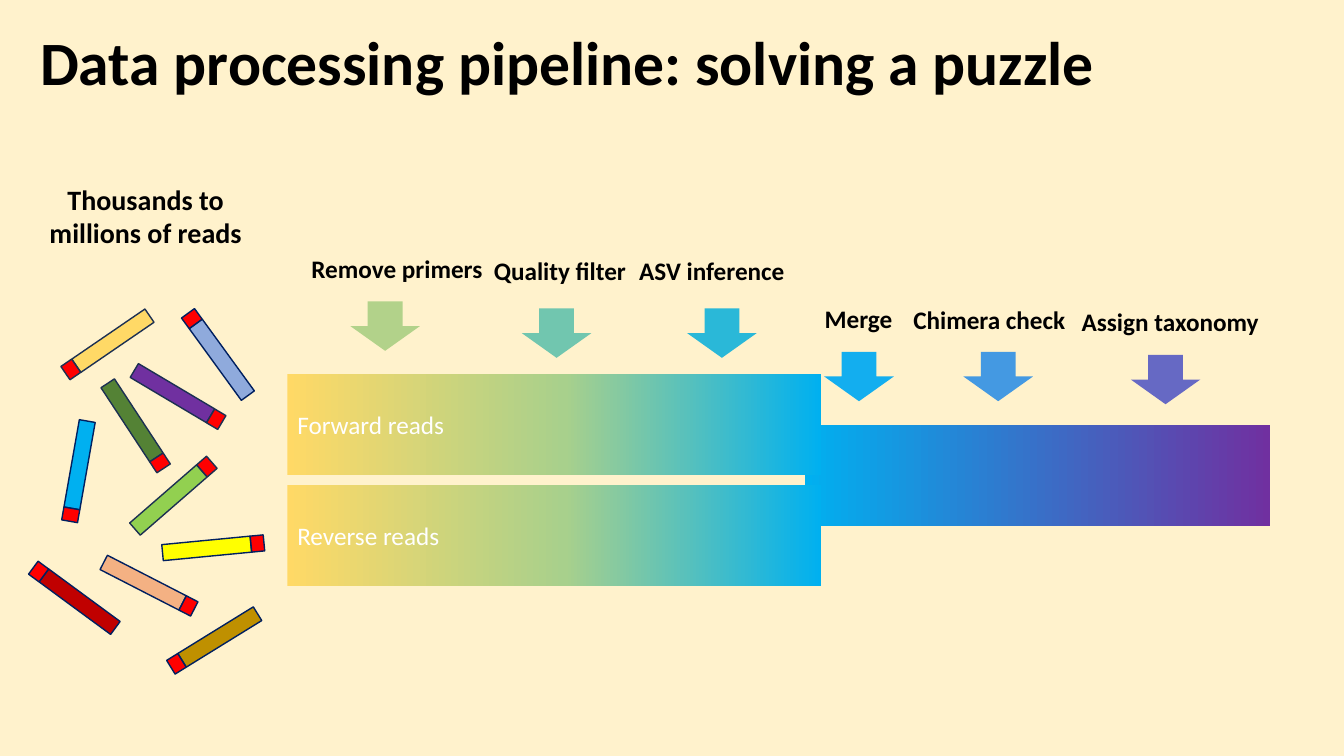
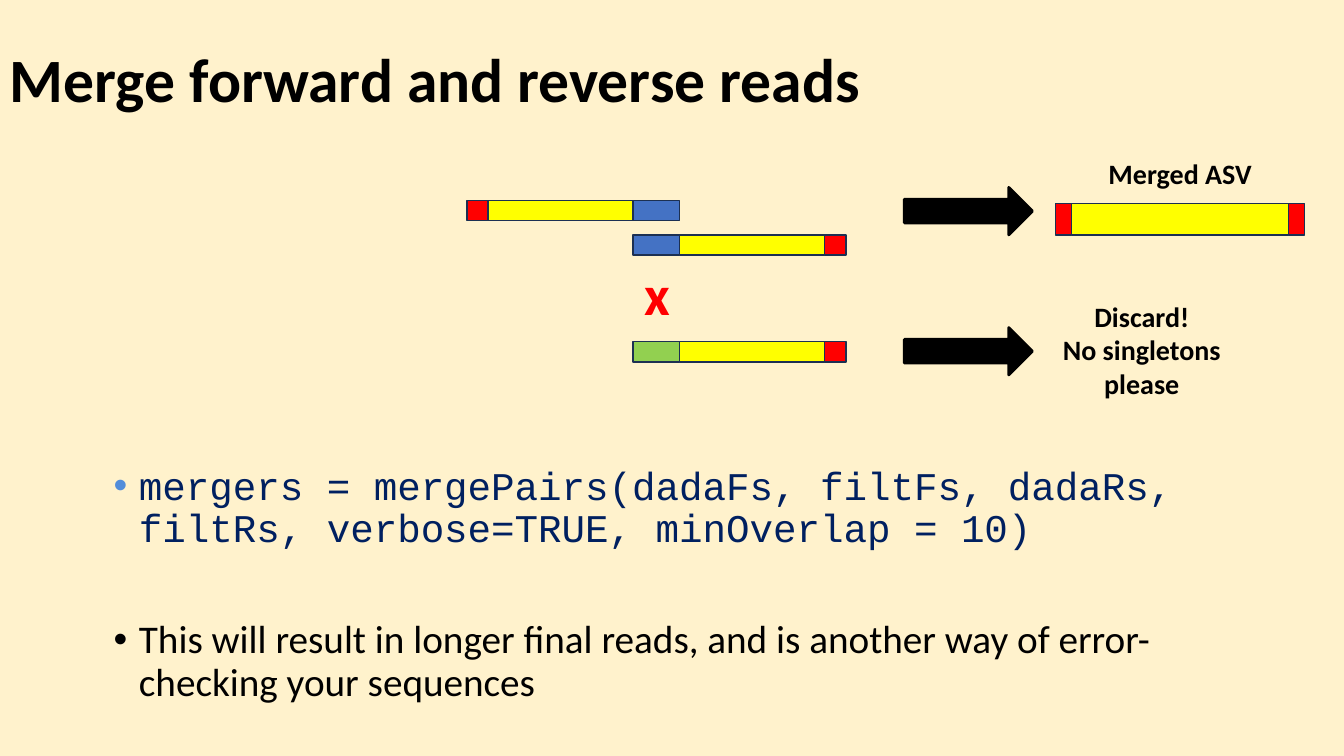
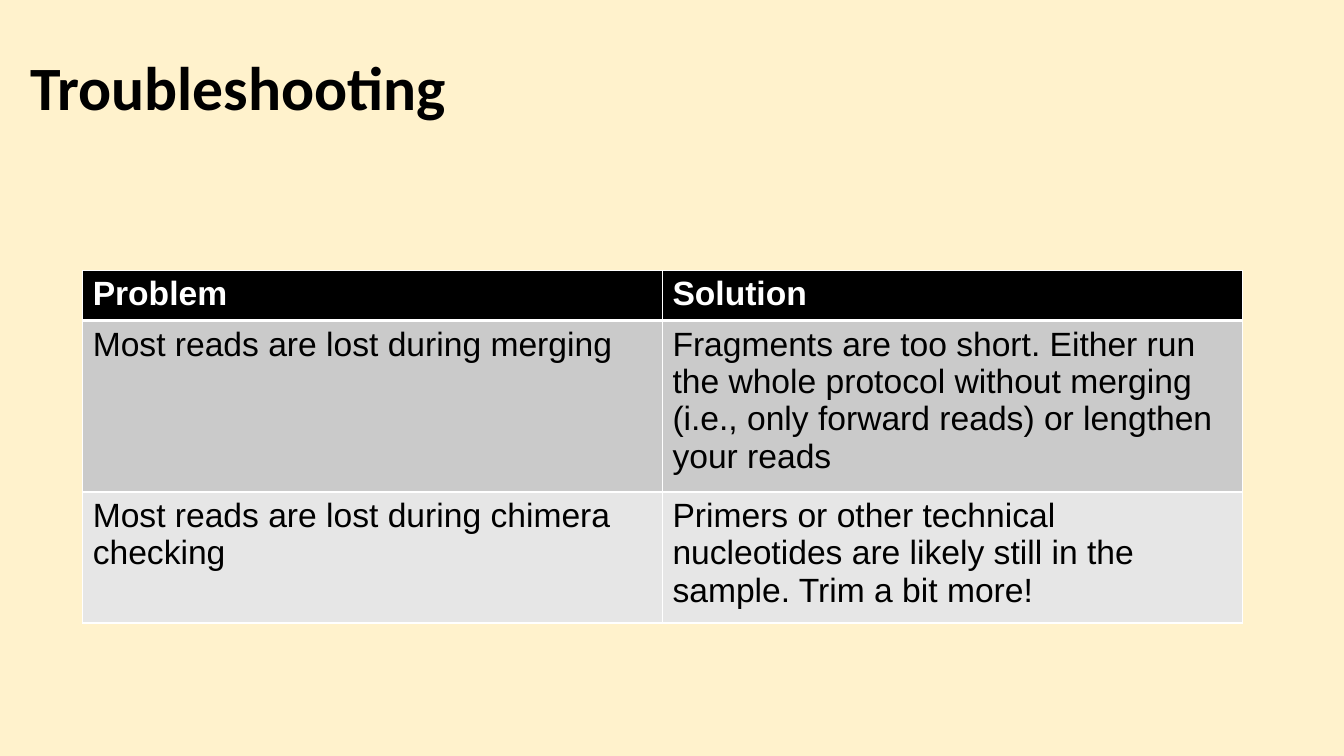
"""Build three slides about a read-processing pipeline."""
from math import cos, radians, sin

from lxml.etree import SubElement
from pptx import Presentation
from pptx.dml.color import RGBColor
from pptx.enum.shapes import MSO_SHAPE
from pptx.enum.text import MSO_ANCHOR, PP_ALIGN
from pptx.oxml.ns import qn
from pptx.util import Inches, Pt

CREAM = RGBColor(0xFF, 0xF2, 0xCC)
BLACK = RGBColor(0x00, 0x00, 0x00)
WHITE = RGBColor(0xFF, 0xFF, 0xFF)
RED = RGBColor(0xFF, 0x00, 0x00)
YELLOW = RGBColor(0xFF, 0xFF, 0x00)
GOLD = RGBColor(0xFF, 0xD9, 0x66)
SAGE = RGBColor(0xA8, 0xD0, 0x8C)
SKY = RGBColor(0x00, 0xB0, 0xF0)
PURPLE = RGBColor(0x70, 0x30, 0xA0)
LIME = RGBColor(0x92, 0xD0, 0x50)
BLUE = RGBColor(0x44, 0x72, 0xC4)
FOREST = RGBColor(0x54, 0x82, 0x35)
PEACH = RGBColor(0xF4, 0xB1, 0x83)
CRIMSON = RGBColor(0xC0, 0x00, 0x00)
OCHRE = RGBColor(0xBF, 0x90, 0x00)
PERIWINKLE = RGBColor(0x8F, 0xAA, 0xDC)
BULLET_BLUE = RGBColor(0x52, 0x8D, 0xDA)
NAVY = RGBColor(0x00, 0x20, 0x60)
SLATE = RGBColor(0x1C, 0x30, 0x52)
DARK_GRAY = RGBColor(0xCA, 0xCA, 0xCA)
LIGHT_GRAY = RGBColor(0xE6, 0xE6, 0xE6)

BODY_FONT = "Calibri"
CODE_FONT = "Courier New"
TABLE_FONT = "Arial"

READ_LENGTH, PRIMER_LENGTH, READ_HEIGHT = 0.88, 0.13, 0.16
ARROW_WIDTH, ARROW_HEIGHT = 0.69, 0.49
PRIMER, INSERT, OVERLAP = 0.21, 1.44, 0.46
SEGMENT_HEIGHT = 0.2

READS = [
    (1.12, 3.38, 325.6, GOLD, SLATE),
    (1.71, 3.9, 210.7, PURPLE, SLATE),
    (1.31, 4.17, 236.7, FOREST, SLATE),
    (1.67, 4.96, 139, LIME, SLATE),
    (0.79, 4.61, 280, SKY, NAVY),
    (1.42, 5.78, 207.2, PEACH, NAVY),
    (2.05, 5.44, 174.5, YELLOW, NAVY),
    (0.79, 5.97, 36.3, CRIMSON, NAVY),
    (2.18, 6.32, 328.3, OCHRE, NAVY),
    (2.2, 3.57, 54, PERIWINKLE, NAVY),
]

STEPS = [
    ("Remove primers", 2.99, 2.46, 1.91, 3.82, 2.99, RGBColor(0xB2, 0xD2, 0x8A)),
    ("Quality filter", 4.8, 2.48, 1.53, 5.52, 3.06, RGBColor(0x71, 0xC6, 0xAF)),
    ("ASV inference", 6.24, 2.48, 1.65, 7.16, 3.06, RGBColor(0x2A, 0xB8, 0xD8)),
    ("Merge", 8.08, 2.96, 0.88, 8.52, 3.49, RGBColor(0x13, 0xAE, 0xEF)),
    ("Chimera check", 8.96, 2.97, 1.72, 9.9, 3.49, RGBColor(0x44, 0x99, 0xE2)),
    ("Assign taxonomy", 10.63, 2.99, 1.97, 11.56, 3.52, RGBColor(0x66, 0x69, 0xC4)),
]

TROUBLES = [
    ("Problem", "Solution"),
    ("Most reads are lost during merging",
     "Fragments are too short. Either run the whole protocol without merging "
     "(i.e., only forward reads) or lengthen your reads"),
    ("Most reads are lost during chimera checking",
     "Primers or other technical nucleotides are likely still in the sample. "
     "Trim a bit more!"),
]


def add_run(paragraph, text, size, color, bold=False, font_name=BODY_FONT):
    run = paragraph.add_run()
    run.text = text
    run.font.name = font_name
    run.font.size = Pt(size)
    run.font.bold = bold
    run.font.color.rgb = color


def add_text_box(slide, left, top, width, height, wrap=True):
    box = slide.shapes.add_textbox(Inches(left), Inches(top), Inches(width), Inches(height))
    box.text_frame.word_wrap = wrap
    return box.text_frame


def add_title(slide, text, left, top, height):
    frame = add_text_box(slide, left, top, 11.5, height)
    frame.vertical_anchor = MSO_ANCHOR.MIDDLE
    frame.paragraphs[0].line_spacing = 0.9
    add_run(frame.paragraphs[0], text, 44, BLACK, True)


def add_caption(slide, lines, left, top, width, height, size=20, color=BLACK):
    frame = add_text_box(slide, left, top, width, height)
    for index, line in enumerate(lines):
        paragraph = frame.add_paragraph() if index else frame.paragraphs[0]
        paragraph.alignment = PP_ALIGN.CENTER
        add_run(paragraph, line, size, color, True)


def add_block(slide, kind, left, top, width, height, fill=None, line=None, line_width=1):
    shape = slide.shapes.add_shape(kind, Inches(left), Inches(top), Inches(width), Inches(height))
    shape.shadow.inherit = False
    if fill is not None:
        shape.fill.solid()
        shape.fill.fore_color.rgb = fill
    if line is None:
        shape.line.fill.background()
    else:
        shape.line.color.rgb = line
        shape.line.width = Pt(line_width)
    return shape


def add_gradient_band(slide, left, top, width, stops, text=None):
    band = add_block(slide, MSO_SHAPE.RECTANGLE, left, top, width, 1)
    band.fill.gradient()
    band.fill.gradient_angle = 0
    stop_list = band.element.spPr.find(qn("a:gradFill")).find(qn("a:gsLst"))
    for old_stop in list(stop_list):
        stop_list.remove(old_stop)
    for percent, color in stops:
        stop = SubElement(stop_list, qn("a:gs"), pos=str(percent * 1000))
        SubElement(stop, qn("a:srgbClr"), val=str(color))
    if text:
        band.text_frame.vertical_anchor = MSO_ANCHOR.MIDDLE
        paragraph = band.text_frame.paragraphs[0]
        paragraph.alignment = PP_ALIGN.LEFT
        add_run(paragraph, text, 18, WHITE)


def add_read(slide, center_x, center_y, angle, color, line):
    offset = (READ_LENGTH + PRIMER_LENGTH) / 2
    primer_x = center_x - offset * cos(radians(angle))
    primer_y = center_y - offset * sin(radians(angle))
    for x, y, length, fill in (
        (center_x, center_y, READ_LENGTH, color),
        (primer_x, primer_y, PRIMER_LENGTH, RED),
    ):
        part = add_block(slide, MSO_SHAPE.RECTANGLE, x - length / 2, y - READ_HEIGHT / 2,
                         length, READ_HEIGHT, fill, line)
        part.rotation = angle


def add_step(slide, label, left, top, width, arrow_center, arrow_top, color):
    frame = add_text_box(slide, left, top, width, 0.4, wrap=False)
    add_run(frame.paragraphs[0], label, 18, BLACK, True)
    add_block(slide, MSO_SHAPE.DOWN_ARROW, arrow_center - ARROW_WIDTH / 2, arrow_top,
              ARROW_WIDTH, ARROW_HEIGHT, color)


def add_segments(slide, left, top, height, segments):
    for width, color in segments:
        add_block(slide, MSO_SHAPE.RECTANGLE, left, top, width, height, color, SLATE)
        left += width


def add_bullet(paragraph, color):
    properties = paragraph._p.get_or_add_pPr()
    properties.set("marL", str(Inches(0.25)))
    properties.set("indent", str(Inches(-0.25)))
    bullet_color = SubElement(properties, qn("a:buClr"))
    SubElement(bullet_color, qn("a:srgbClr"), val=str(color))
    SubElement(properties, qn("a:buFont"), typeface="Arial")
    SubElement(properties, qn("a:buChar"), char="•")
    paragraph.line_spacing = 0.9


def set_borders(cell, widths):
    properties = cell._tc.get_or_add_tcPr()
    for side, width in zip("LRTB", widths):
        border = SubElement(properties, qn(f"a:ln{side}"), w=str(Pt(width)))
        fill = SubElement(border, qn("a:solidFill"))
        SubElement(fill, qn("a:srgbClr"), val=str(WHITE))


def add_trouble_table(slide):
    heights = (0.47, 1.58, 1.22)
    fills = (BLACK, DARK_GRAY, LIGHT_GRAY)
    borders = ((1, 1, 1, 3), (1, 1, 3, 1), (1, 1, 1, 1))
    table = slide.shapes.add_table(3, 2, Inches(0.82), Inches(2.68),
                                   Inches(11.5), Inches(sum(heights))).table
    for row_index, texts in enumerate(TROUBLES):
        table.rows[row_index].height = Inches(heights[row_index])
        is_header = row_index == 0
        for column_index, text in enumerate(texts):
            cell = table.cell(row_index, column_index)
            set_borders(cell, borders[row_index])
            cell.fill.solid()
            cell.fill.fore_color.rgb = fills[row_index]
            add_run(cell.text_frame.paragraphs[0], text, 24,
                    WHITE if is_header else BLACK, is_header, TABLE_FONT)


def build_pipeline(slide):
    read_stops = [(0, GOLD), (52, SAGE), (100, SKY)]
    add_gradient_band(slide, 7.98, 4.22, 4.62, [(0, SKY), (100, PURPLE)])
    add_title(slide, "Data processing pipeline: solving a puzzle", 0.3, 0.15, 1)
    add_gradient_band(slide, 2.85, 3.71, 5.29, read_stops, "Forward reads")
    add_gradient_band(slide, 2.85, 4.81, 5.29, read_stops, "Reverse reads")
    for step in STEPS:
        add_step(slide, *step)
    for read in READS:
        add_read(slide, *read)
    add_caption(slide, ["Thousands to millions of reads"], 0.26, 1.76, 2.37, 0.77)


def build_merge(slide):
    add_title(slide, "Merge forward and reverse reads", 0, 0.09, 1.45)
    frame = add_text_box(slide, 1.03, 4.58, 11.5, 2.73)
    code = frame.paragraphs[0]
    add_bullet(code, BULLET_BLUE)
    add_run(code, "mergers = mergePairs(dadaFs, filtFs, dadaRs, filtRs, "
            "verbose=TRUE, minOverlap = 10)", 28, NAVY, font_name=CODE_FONT)
    remark = frame.add_paragraph()
    add_bullet(remark, BLACK)
    remark.space_before = Pt(49)
    add_run(remark, "This will result in longer final reads, and is another way of "
            "error-checking your sequences", 28, BLACK)

    overlap_left = 6.28
    forward = [(PRIMER, RED), (INSERT, YELLOW), (OVERLAP, BLUE)]
    add_segments(slide, overlap_left - PRIMER - INSERT, 1.99, SEGMENT_HEIGHT, forward)
    for top, overlap_color in ((2.33, BLUE), (3.39, LIME)):
        reverse = [(OVERLAP, overlap_color), (INSERT, YELLOW), (PRIMER, RED)]
        add_segments(slide, overlap_left, top, SEGMENT_HEIGHT, reverse)
    add_segments(slide, 10.47, 2.02, 0.31, [(0.16, RED), (2.15, YELLOW), (0.16, RED)])
    for top in (1.86, 3.25):
        add_block(slide, MSO_SHAPE.RIGHT_ARROW, 8.97, top, 1.27, 0.47, BLACK, BLACK, 2)
    add_caption(slide, ["x"], 6.22, 2.53, 0.59, 0.77, 40, RED)
    add_caption(slide, ["Discard!", "No singletons please"], 10.44, 2.92, 1.77, 1.11)
    add_caption(slide, ["Merged ASV"], 10.82, 1.5, 1.77, 0.44)


def build_troubleshooting(slide):
    add_title(slide, "Troubleshooting", 0.2, 0.17, 1.45)
    add_trouble_table(slide)


def main():
    presentation = Presentation()
    presentation.slide_width = Inches(13.33)
    presentation.slide_height = Inches(7.5)
    background = presentation.slide_master.background.fill
    background.solid()
    background.fore_color.rgb = CREAM
    for build in (build_pipeline, build_merge, build_troubleshooting):
        build(presentation.slides.add_slide(presentation.slide_layouts[6]))
    presentation.save("out.pptx")


if __name__ == "__main__":
    main()
